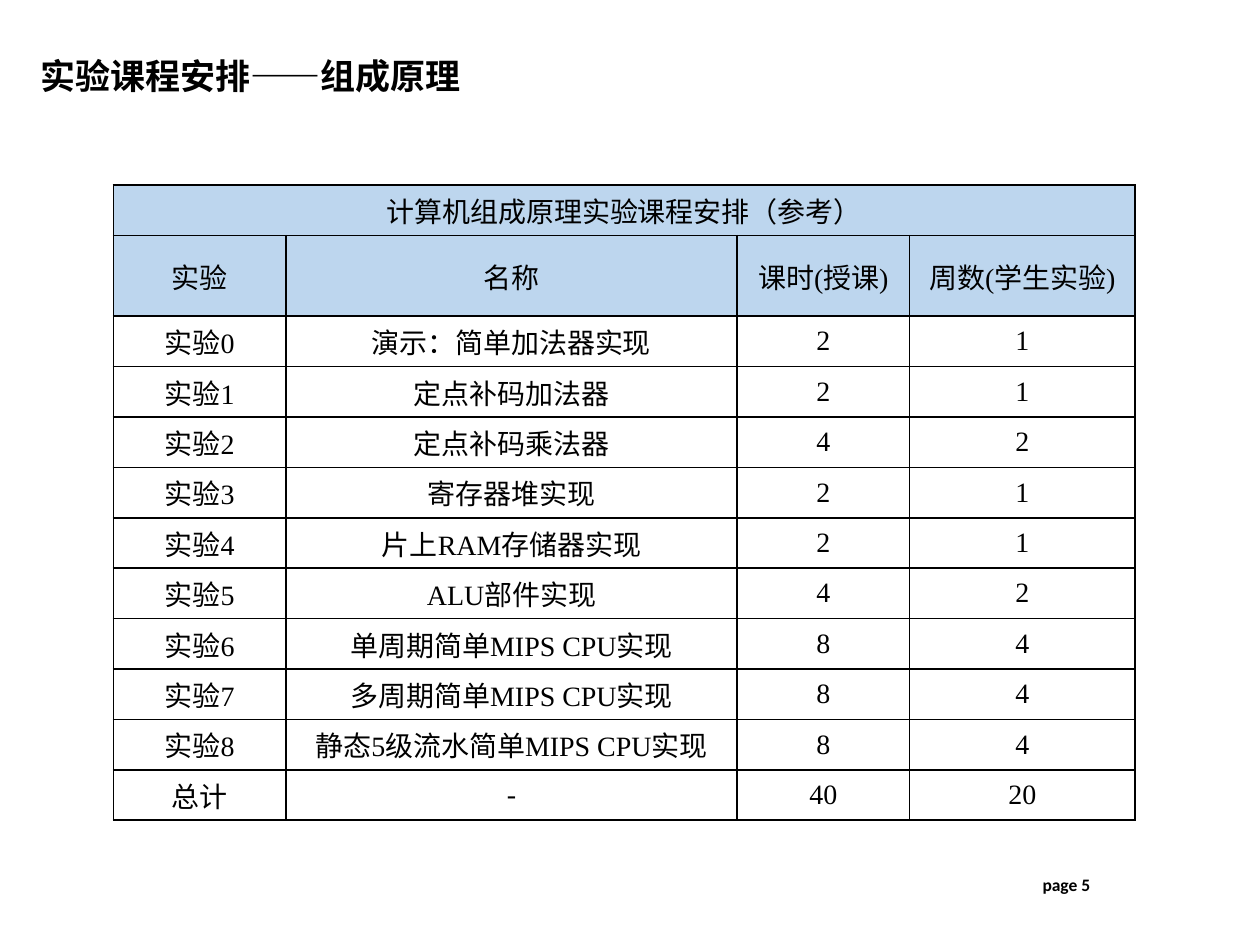
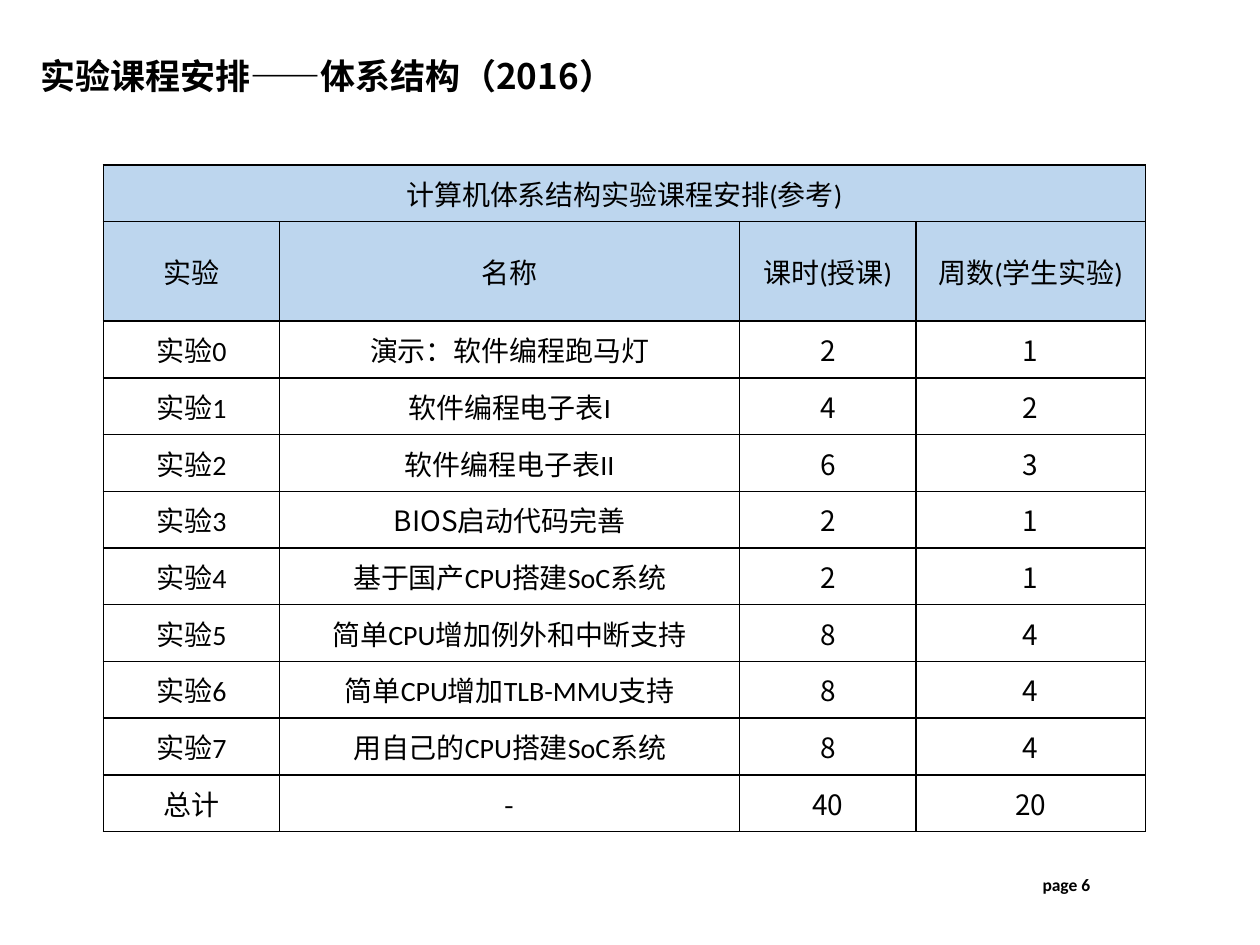
from lxml import etree
from pptx import Presentation
from pptx.dml.color import RGBColor
from pptx.enum.text import MSO_ANCHOR, MSO_AUTO_SIZE, PP_ALIGN
from pptx.oxml.ns import qn
from pptx.util import Inches, Pt

MIDDLE, BOTTOM = MSO_ANCHOR.MIDDLE, MSO_ANCHOR.BOTTOM
LEFT, CENTER, RIGHT = PP_ALIGN.LEFT, PP_ALIGN.CENTER, PP_ALIGN.RIGHT
BLACK, HEAD = "000000", "BDD6EE"
SANS, SERIF, LATIN = "Noto Sans CJK SC", "Times New Roman", "Calibri"
TITLE_ONLY = 5


def write(frame, text, font=SANS, size=16, bold=False, align=CENTER):
    para = frame.paragraphs[0]
    para.alignment = align
    run = para.add_run()
    run.text = text
    run.font.size = Pt(size)
    run.font.bold = bold
    run.font.color.rgb = RGBColor.from_string(BLACK)
    run.font.name = font
    etree.SubElement(run.font._element, qn("a:ea"), typeface=SANS)


def border(cell, **widths):
    """Draw the cell's edges; widths in points by side: L, R, T, B."""
    props = cell._tc.get_or_add_tcPr()
    for i, side in enumerate("LRTB"):
        line = etree.Element(qn("a:ln" + side), w=str(Pt(widths.get(side, 1))))
        fill = etree.SubElement(line, qn("a:solidFill"))
        etree.SubElement(fill, qn("a:srgbClr"), val=BLACK)
        props.insert(i, line)


header = ("实验", "名称", "课时(授课)", "周数(学生实验)")
total = ("总计", "-", "40", "20")
plans = [
    dict(
        page=5, title="实验课程安排——组成原理",
        caption="计算机组成原理实验课程安排（参考）",
        left=0.9, top=1.47, cols=(1.37, 3.58, 1.37, 1.79),
        row=0.4, head=0.64, font=SERIF, digits=SERIF,
        labs=[("演示：简单加法器实现", 2, 1), ("定点补码加法器", 2, 1),
              ("定点补码乘法器", 4, 2), ("寄存器堆实现", 2, 1),
              ("片上RAM存储器实现", 2, 1), ("ALU部件实现", 4, 2),
              ("单周期简单MIPS CPU实现", 8, 4),
              ("多周期简单MIPS CPU实现", 8, 4),
              ("静态5级流水简单MIPS CPU实现", 8, 4)]),
    dict(
        page=6, title="实验课程安排——体系结构（2016）",
        caption="计算机体系结构实验课程安排(参考)",
        left=0.82, top=1.31, cols=(1.4, 3.65, 1.4, 1.82),
        row=0.45, head=0.79, font=LATIN, digits=SANS,
        labs=[("演示：软件编程跑马灯", 2, 1), ("软件编程电子表I", 4, 2),
              ("软件编程电子表II", 6, 3), ("BIOS启动代码完善", 2, 1),
              ("基于国产CPU搭建SoC系统", 2, 1),
              ("简单CPU增加例外和中断支持", 8, 4),
              ("简单CPU增加TLB-MMU支持", 8, 4),
              ("用自己的CPU搭建SoC系统", 8, 4)]),
]

deck = Presentation()
deck.slide_width, deck.slide_height = Inches(10), Inches(7.5)

for plan in plans:
    slide = deck.slides.add_slide(deck.slide_layouts[TITLE_ONLY])

    title = slide.shapes.title
    title.left, title.top = Inches(0.24), Inches(0.37)
    title.width, title.height = Inches(5.87), Inches(0.44)
    frame = title.text_frame
    frame.auto_size = MSO_AUTO_SIZE.NONE
    frame.vertical_anchor = BOTTOM
    frame.margin_left = frame.margin_right = Inches(0.08)
    frame.margin_top = frame.margin_bottom = Inches(0.04)
    write(frame, plan["title"], size=20, bold=True, align=LEFT)

    foot = slide.shapes.add_textbox(Inches(6.42), Inches(6.82), Inches(2.33), Inches(0.4))
    foot.text_frame.word_wrap = True
    foot.text_frame.vertical_anchor = MIDDLE
    write(foot.text_frame, f"page {plan['page']}", font=LATIN, size=10, bold=True, align=RIGHT)

    rows = [(plan["caption"], "", "", ""), header]
    rows += [(f"实验{i}", *lab) for i, lab in enumerate(plan["labs"])]
    rows.append(total)
    high = plan["row"] * (len(rows) - 1) + plan["head"]
    table = slide.shapes.add_table(
        len(rows), len(header), Inches(plan["left"]), Inches(plan["top"]),
        Inches(sum(plan["cols"])), Inches(high)).table
    table.first_row = table.horz_banding = False
    for col, width in zip(table.columns, plan["cols"]):
        col.width = Inches(width)

    for r, row in enumerate(rows):
        table.rows[r].height = Inches(plan["head"] if r == 1 else plan["row"])
        for c, value in enumerate(row):
            cell = table.cell(r, c)
            cell.vertical_anchor = MIDDLE
            cell.margin_left = cell.margin_right = Inches(0.07)
            cell.margin_top = cell.margin_bottom = 0
            if r < 2:
                cell.fill.solid()
                cell.fill.fore_color.rgb = RGBColor.from_string(HEAD)
            else:
                cell.fill.background()
            border(cell, T=1.5 if r == 2 else 1, B=1.5 if r == 1 else 1)
            text = str(value)
            if text:
                plain = text.isdigit() or text == "-" or text.startswith("BIOS")
                write(cell.text_frame, text, font=plan["digits" if plain else "font"])
    table.cell(0, 0).merge(table.cell(0, len(header) - 1))

deck.save("out.pptx")
